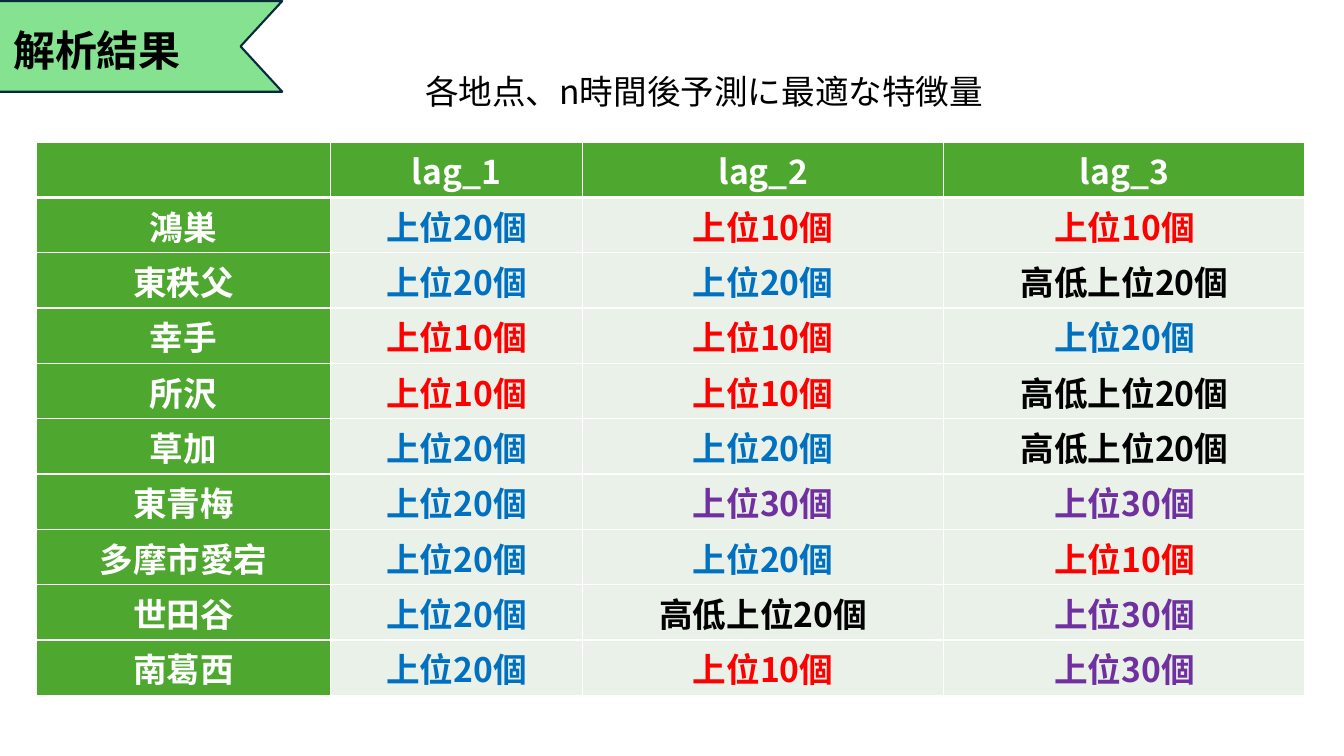
from dataclasses import dataclass
from typing import NamedTuple

from lxml.etree import SubElement
from pptx import Presentation
from pptx.dml.color import RGBColor as Rgb
from pptx.enum.shapes import MSO_SHAPE as Shape
from pptx.enum.text import MSO_ANCHOR as Anchor, MSO_AUTO_SIZE as Fit, PP_ALIGN as Align
from pptx.oxml.ns import qn
from pptx.util import Inches, Pt


@dataclass(frozen=True)
class Theme:
    font: str = "Noto Sans CJK JP"
    title: int = 30
    body: int = 24
    white: str = "FFFFFF"
    black: str = "000000"
    red: str = "FF0000"
    blue: str = "0070C0"
    purple: str = "7030A0"
    mint: str = "84E291"
    navy: str = "092A39"
    green: str = "4EA72E"
    pale: str = "E9F1E8"
    thin: float = 1
    thick: float = 3


class Area(NamedTuple):
    """Left, top, width and height in percent of the slide."""
    x: float
    y: float
    w: float
    h: float


class Pick(NamedTuple):
    text: str
    hue: str


class Site(NamedTuple):
    name: str
    picks: tuple[Pick, Pick, Pick]


THEME = Theme()
WIDE, HIGH = Inches(13.333), Inches(7.5)

# Feature sets and the best one per site and lag
TOP10 = Pick("上位10個", THEME.red)
TOP20 = Pick("上位20個", THEME.blue)
TOP30 = Pick("上位30個", THEME.purple)
BOTH20 = Pick("高低上位20個", THEME.black)
LAGS = ("lag_1", "lag_2", "lag_3")
SITES = (
    Site("鴻巣", (TOP20, TOP10, TOP10)),
    Site("東秩父", (TOP20, TOP20, BOTH20)),
    Site("幸手", (TOP10, TOP10, TOP20)),
    Site("所沢", (TOP10, TOP10, BOTH20)),
    Site("草加", (TOP20, TOP20, BOTH20)),
    Site("東青梅", (TOP20, TOP30, TOP30)),
    Site("多摩市愛宕", (TOP20, TOP20, TOP10)),
    Site("世田谷", (TOP20, BOTH20, TOP30)),
    Site("南葛西", (TOP20, TOP10, TOP30)),
)

# Layout
BANNER = Area(-4.05, 0.13, 25.05, 12)
TITLE = Area(0.23, 2.53, 18.6, 8.13)
LEAD = Area(28.95, 6, 46.88, 8.8)
GRID = Area(2.7, 18.8, 94.41, 73.2)
COLS = (21.9, 18.75, 26.88, 26.88)


def across(share: float) -> int:
    return round(WIDE * share / 100)


def down(share: float) -> int:
    return round(HIGH * share / 100)


def place(area: Area) -> tuple[int, int, int, int]:
    return across(area.x), down(area.y), across(area.w), down(area.h)


def write(frame, text: str, size: int, hue: str, bold: bool) -> None:
    frame.text = text
    for run in frame.paragraphs[0].runs:
        font = run.font
        font.name, font.size, font.bold = THEME.font, Pt(size), bold
        font.color.rgb = Rgb.from_string(hue)
        SubElement(font._element, qn("a:ea")).set("typeface", THEME.font)


def add_text(slide, area: Area, text: str, size: int, bold: bool = False):
    frame = slide.shapes.add_textbox(*place(area)).text_frame
    frame.word_wrap = True
    frame.auto_size = Fit.SHAPE_TO_FIT_TEXT
    write(frame, text, size, THEME.black, bold)
    return frame.paragraphs[0]


def add_banner(slide) -> None:
    flag = slide.shapes.add_shape(Shape.CHEVRON, *place(BANNER))
    flag.shadow.inherit = False
    flag.rotation = 180
    flag.adjustments[0] = 0.46
    flag.fill.solid()
    flag.fill.fore_color.rgb = Rgb.from_string(THEME.mint)
    flag.line.color.rgb = Rgb.from_string(THEME.navy)
    flag.line.width = Pt(1.5)


def set_edges(cell, top: float, base: float) -> None:
    props = cell._tc.get_or_add_tcPr()
    widths = {"L": THEME.thin, "R": THEME.thin, "T": top, "B": base}
    for side, width in widths.items():
        edge = SubElement(props, qn(f"a:ln{side}"), w=str(Pt(width)))
        fill = SubElement(edge, qn("a:solidFill"))
        SubElement(fill, qn("a:srgbClr"), val=THEME.white)


def fill_cell(cell, pick: Pick, fill: str) -> None:
    cell.fill.solid()
    cell.fill.fore_color.rgb = Rgb.from_string(fill)
    cell.vertical_anchor = Anchor.MIDDLE
    cell.margin_left = cell.margin_right = cell.margin_top = Inches(0.01)
    cell.margin_bottom = 0
    write(cell.text_frame, pick.text, THEME.body, pick.hue, True)
    cell.text_frame.paragraphs[0].alignment = Align.CENTER


def add_grid(slide) -> None:
    head = [Pick(text, THEME.white) for text in ("", *LAGS)]
    rows = [head] + [[Pick(site.name, THEME.white), *site.picks] for site in SITES]
    table = slide.shapes.add_table(len(rows), len(COLS), *place(GRID)).table
    for col, share in zip(table.columns, COLS):
        col.width = across(share)
    for r, picks in enumerate(rows):
        table.rows[r].height = down(GRID.h / len(rows))
        # A thick rule parts the header from the sites
        top = THEME.thick if r == 1 else THEME.thin
        base = THEME.thick if r == 0 else THEME.thin
        for c, pick in enumerate(picks):
            cell = table.cell(r, c)
            set_edges(cell, top, base)
            fill_cell(cell, pick, THEME.green if r == 0 or c == 0 else THEME.pale)


def main() -> None:
    deck = Presentation()
    deck.slide_width, deck.slide_height = WIDE, HIGH
    slide = deck.slides.add_slide(deck.slide_layouts[6])
    # Heading
    add_banner(slide)
    add_text(slide, TITLE, "解析結果", THEME.title, bold=True)
    # Results
    add_grid(slide)
    lead = add_text(slide, LEAD, "各地点、n時間後予測に最適な特徴量", THEME.body)
    lead.alignment = Align.CENTER
    lead.line_spacing = 1.5
    deck.save("out.pptx")


if __name__ == "__main__":
    main()
